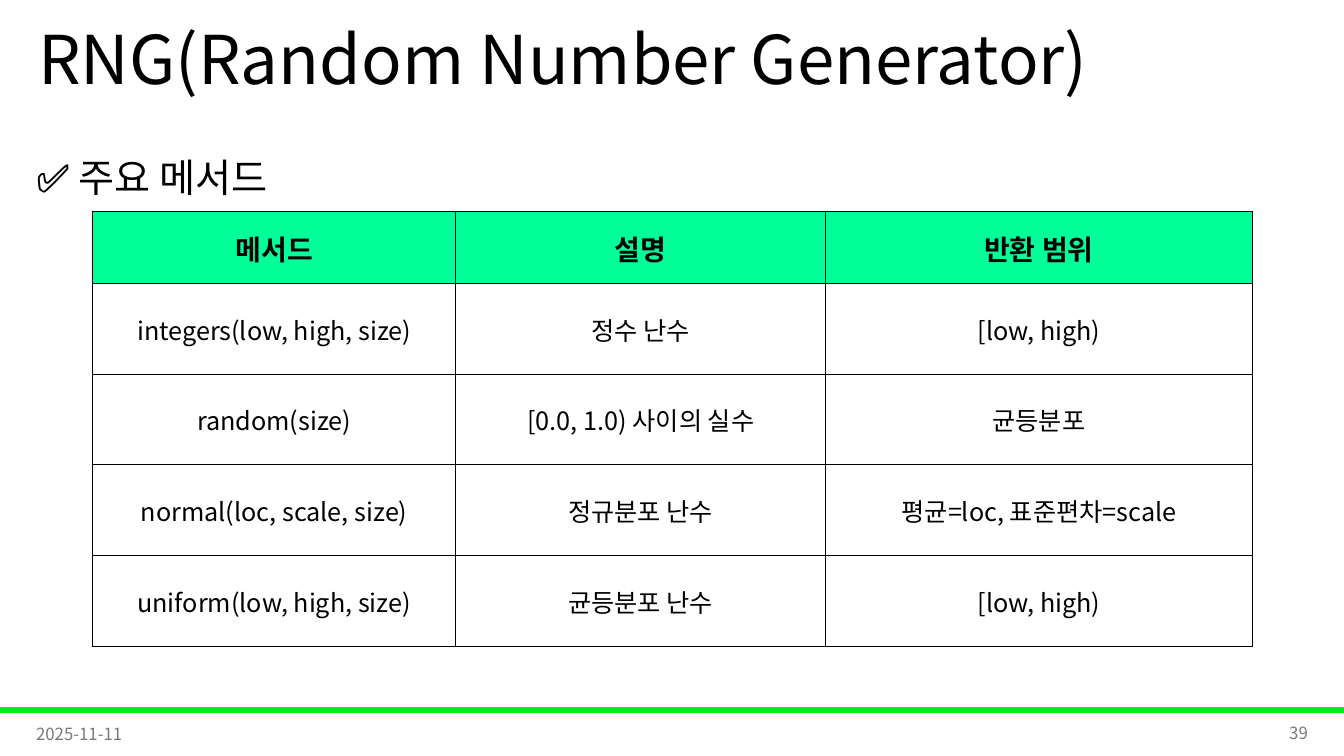
from lxml import etree
from pptx import Presentation
from pptx.dml.color import RGBColor
from pptx.enum.shapes import MSO_SHAPE
from pptx.enum.text import MSO_ANCHOR, MSO_AUTO_SIZE, PP_ALIGN
from pptx.oxml.ns import qn
from pptx.util import Inches, Pt

RECT = MSO_SHAPE.RECTANGLE
MIDDLE, TOP = MSO_ANCHOR.MIDDLE, MSO_ANCHOR.TOP
LEFT, CENTER, RIGHT = PP_ALIGN.LEFT, PP_ALIGN.CENTER, PP_ALIGN.RIGHT
NO_FIT = MSO_AUTO_SIZE.NONE

BLACK = RGBColor(0x00, 0x00, 0x00)
GRAY = RGBColor(0x79, 0x79, 0x79)
GREEN = RGBColor(0x00, 0xF2, 0x09)
MINT = RGBColor(0x00, 0xFF, 0x99)

METHODS = [
    ("메서드", "설명", "반환 범위"),
    ("integers(low, high, size)", "정수 난수", "[low, high)"),
    ("random(size)", "[0.0, 1.0) 사이의 실수", "균등분포"),
    ("normal(loc, scale, size)", "정규분포 난수", "평균=loc, 표준편차=scale"),
    ("uniform(low, high, size)", "균등분포 난수", "[low, high)"),
]


class Page:
    face = "Noto Sans CJK KR"

    def __init__(self, deck):
        self.slide = deck.slides.add_slide(deck.slide_layouts[5])
        self.shapes = self.slide.shapes

    def style(self, frame, text, size, color=BLACK, align=LEFT, bold=False, space=1.0):
        frame.text = text
        para = frame.paragraphs[0]
        para.alignment, para.line_spacing = align, space
        font = para.font
        font.name, font.size, font.bold = self.face, Pt(size), bold
        font.color.rgb = color
        # Hangul takes the East Asian face
        latin = para._p.pPr.find(qn("a:defRPr")).find(qn("a:latin"))
        east = etree.Element(qn("a:ea"), typeface=self.face)
        latin.addnext(east)

    def place(self, shape, x, y, w, h):
        shape.left, shape.top = Inches(x), Inches(y)
        shape.width, shape.height = Inches(w), Inches(h)

    def title(self, text, box):
        shape = self.shapes.title
        self.place(shape, *box)
        frame = shape.text_frame
        frame.auto_size, frame.vertical_anchor = NO_FIT, MIDDLE
        self.style(frame, text, 48, space=0.9)

    def text(self, text, box, size, anchor=MIDDLE, **look):
        frame = self.shapes.add_textbox(*map(Inches, box)).text_frame
        frame.word_wrap, frame.vertical_anchor = True, anchor
        self.style(frame, text, size, **look)

    def bar(self, box, color):
        shape = self.shapes.add_shape(RECT, *map(Inches, box))
        shape.shadow.inherit = False
        shape.fill.solid()
        shape.fill.fore_color.rgb = color
        shape.line.color.rgb = color
        shape.line.width = Pt(1)

    def border(self, cell):
        props = cell._tc.get_or_add_tcPr()
        for i, side in enumerate(("lnL", "lnR", "lnT", "lnB")):
            line = etree.Element(qn("a:" + side), w=str(Pt(0.5)))
            fill = etree.SubElement(line, qn("a:solidFill"))
            etree.SubElement(fill, qn("a:srgbClr"), val=str(BLACK))
            props.insert(i, line)

    def table(self, rows, x, y, widths, heights):
        box = map(Inches, (x, y, sum(widths), sum(heights)))
        table = self.shapes.add_table(len(rows), len(widths), *box).table
        for col, width in zip(table.columns, widths):
            col.width = Inches(width)
        for row, height in zip(table.rows, heights):
            row.height = Inches(height)
        for r, row in enumerate(rows):
            head = r == 0
            for c, text in enumerate(row):
                cell = table.cell(r, c)
                cell.margin_left = cell.margin_right = cell.margin_top = Inches(0.01)
                cell.margin_bottom = 0
                cell.vertical_anchor = MIDDLE
                if head:
                    cell.fill.solid()
                    cell.fill.fore_color.rgb = MINT
                else:
                    cell.fill.background()
                self.border(cell)
                self.style(cell.text_frame, text, 20 if head else 18,
                           align=CENTER, bold=head)


def main():
    deck = Presentation()
    deck.slide_width, deck.slide_height = Inches(13.33), Inches(7.5)
    page = Page(deck)

    # Heading
    page.title("RNG(Random Number Generator)", (0.28, 0, 11.5, 1.25))
    page.text("✅ 주요 메서드", (0.26, 1.24, 12.8, 0.84), 28, TOP, space=1.5)

    # Method table
    page.table(METHODS, 0.92, 2.1, (3.6, 3.67, 4.23), [0.71] + [0.9] * 4)

    # Footer
    page.bar((0, 7.02, 13.33, 0.05), GREEN)
    page.text("2025-11-11", (0.26, 7.08, 3, 0.4), 12, color=GRAY)
    page.text("39", (10.07, 7.07, 3, 0.4), 12, color=GRAY, align=RIGHT)

    deck.save("out.pptx")


if __name__ == "__main__":
    main()
